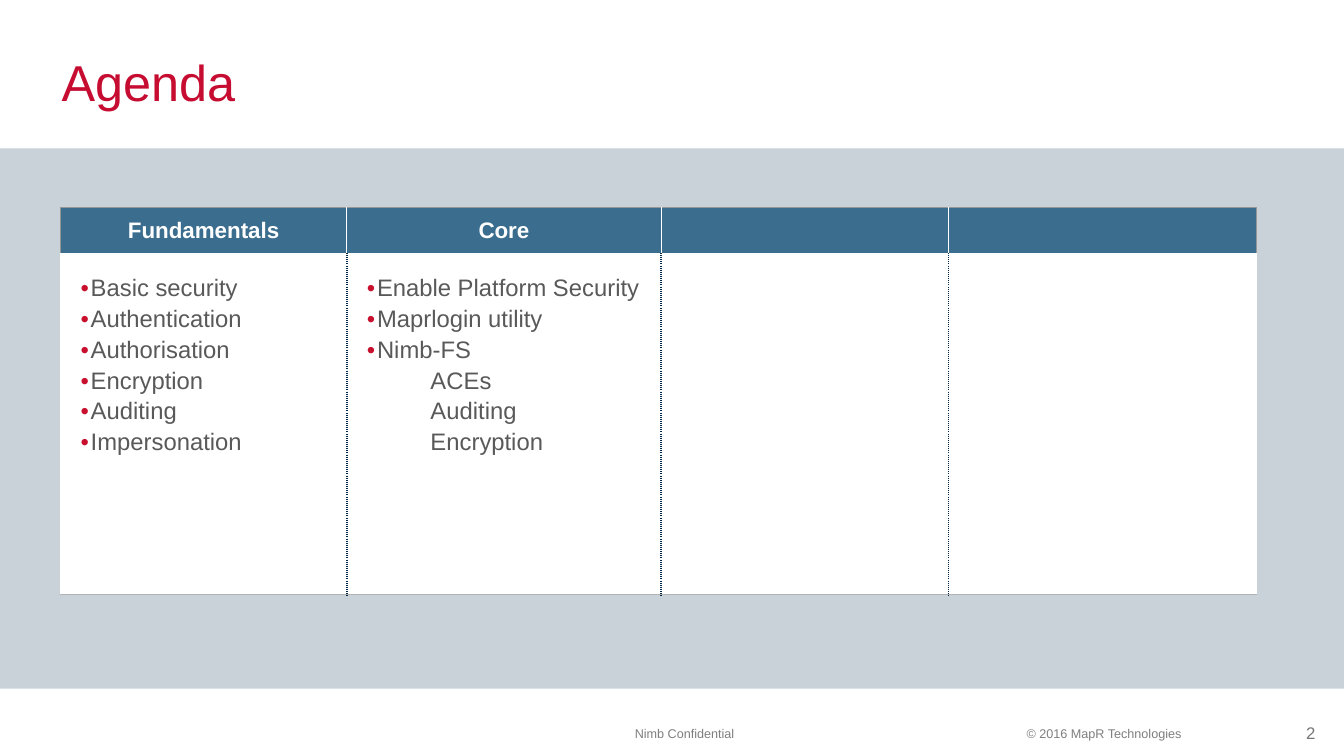
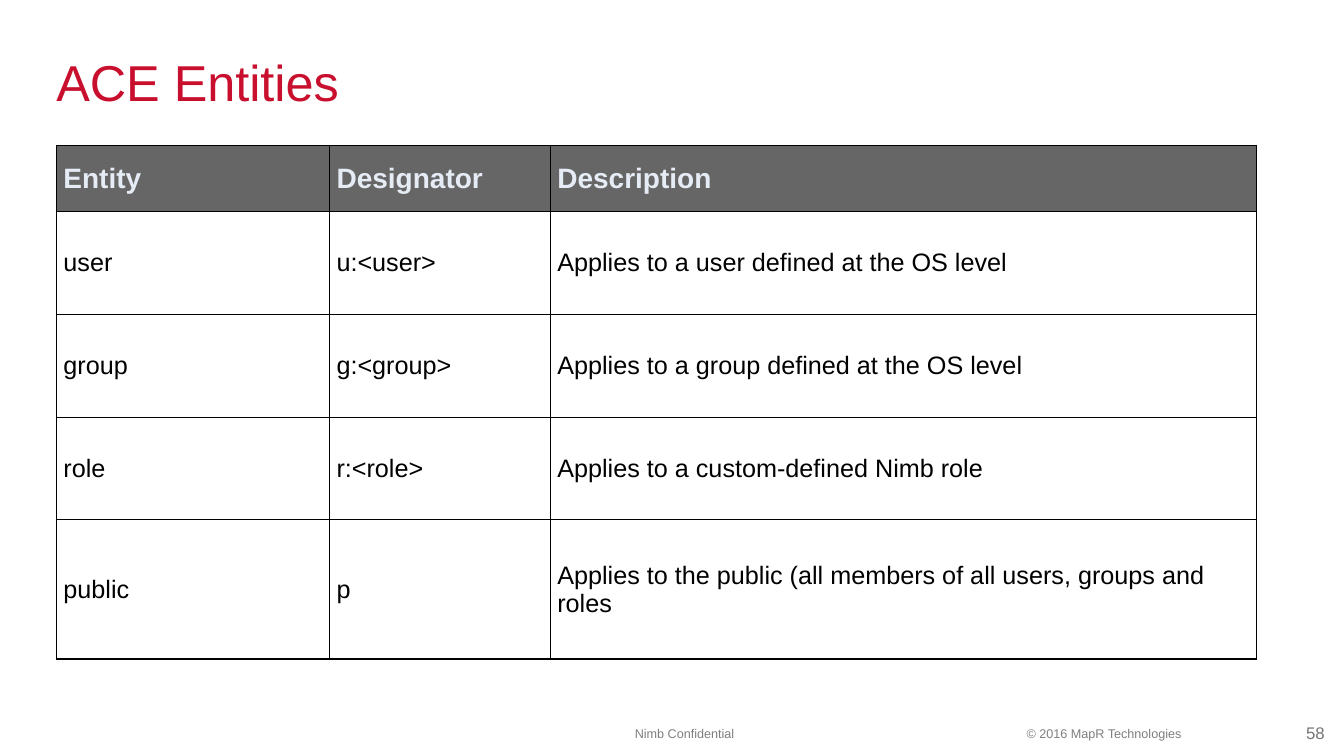
from lxml import etree
from pptx import Presentation
from pptx.dml.color import RGBColor
from pptx.enum.shapes import MSO_SHAPE
from pptx.enum.text import MSO_ANCHOR, MSO_AUTO_SIZE, PP_ALIGN
from pptx.oxml import parse_xml
from pptx.oxml.ns import nsdecls, qn
from pptx.util import Pt

COLORS = {
    "crimson": "C60C30", "red": "C8102E", "navy": "00274C", "blue": "3B6E8E",
    "white": "FFFFFF", "black": "000000", "text": "595959", "header": "666666",
    "pale": "E6ECF5", "edge": "969696", "rule": "B3B3B3",
    "footer": "7F7F7F", "number": "747678",
}
FONT = "Arial"
NO_STYLE = "{2D5ABB26-0587-4C30-8999-92F81FD0307C}"


def style(p, size, color, bold=False):
    """Format all runs of a paragraph."""
    for r in p.runs:
        r.font.name, r.font.size, r.font.bold = FONT, Pt(size), bold
        r.font.color.rgb = RGBColor.from_string(COLORS[color])


def format_cell(cell, fill, margins, borders):
    """Set margins, borders {side: (color, width, dash)} and fill of a cell."""
    (cell.margin_left, cell.margin_top,
     cell.margin_right, cell.margin_bottom) = [Pt(m) for m in margins]
    tcPr = cell._tc.get_or_add_tcPr()
    for side in "LRTB":
        if side in borders:
            color, width, dash = borders[side]
            tcPr.append(parse_xml(
                f'<a:ln{side} {nsdecls("a")} w="{Pt(width)}"><a:solidFill>'
                f'<a:srgbClr val="{COLORS[color]}"/></a:solidFill>'
                f'<a:prstDash val="{dash}"/></a:ln{side}>'))
    if fill:
        cell.fill.solid()
        cell.fill.fore_color.rgb = RGBColor.from_string(COLORS[fill])
    else:
        cell.fill.background()


prs = Presentation()
prs.slide_width, prs.slide_height = Pt(960), Pt(540)

# Slides: title, title color, title left, title inset, page number,
# table left, table top, column widths, row heights
pages = [
    ("Agenda", "crimson", 34.5, 9.5, "2", 43.2, 148.3,
     [204.5, 224.6, 205.2, 220.3], [32.4, 244.1]),
    ("ACE Entities", "red", 33, 7.2, "58", 40.3, 103.7,
     [195.1, 157.7, 504.7], [47.5, 73.4, 73.4, 73.4, 99.4]),
]
tables = []
for title, color, left, inset, number, tx, ty, widths, heights in pages:
    s = prs.slides.add_slide(prs.slide_layouts[5])

    # Title
    sp = s.shapes.title
    sp.left, sp.top, sp.width, sp.height = Pt(left), Pt(21.6), Pt(864), Pt(72.7)
    tf = sp.text_frame
    tf.text = title
    tf.auto_size = MSO_AUTO_SIZE.NONE
    tf.vertical_anchor = MSO_ANCHOR.MIDDLE
    tf.margin_left = tf.margin_right = Pt(inset)
    tf.paragraphs[0].alignment = PP_ALIGN.LEFT
    style(tf.paragraphs[0], 36, color)

    # Footer
    for text, x, y, w, align, size, shade in [
        ("© 2016 MapR Technologies", 658, 518.4, 185.8, PP_ALIGN.RIGHT, 9, "footer"),
        ("Nimb Confidential", 396, 518.4, 185.8, PP_ALIGN.CENTER, 9, "footer"),
        (number, 933, 516.2, 27, PP_ALIGN.LEFT, 12, "number"),
    ]:
        tf = s.shapes.add_textbox(Pt(x), Pt(y), Pt(w), Pt(size * 1.2)).text_frame
        tf.word_wrap = True
        tf.margin_left = tf.margin_top = tf.margin_right = tf.margin_bottom = 0
        tf.text = text
        tf.paragraphs[0].alignment = align
        style(tf.paragraphs[0], size, shade)

    # Band behind the agenda
    if title == "Agenda":
        band = s.shapes.add_shape(MSO_SHAPE.RECTANGLE, 0, Pt(106), Pt(960), Pt(386))
        band.shadow.inherit = False
        band.line.fill.background()
        band.fill.solid()
        band.fill.fore_color.rgb = RGBColor.from_string(COLORS["navy"])
        rgb = band.fill._xPr.find(".//" + qn("a:srgbClr"))
        etree.SubElement(rgb, qn("a:alpha")).set("val", "21000")

    # Empty table grid
    table = s.shapes.add_table(len(heights), len(widths), Pt(tx), Pt(ty),
                               Pt(sum(widths)), Pt(sum(heights))).table
    table.horz_banding = False
    table._tbl.tblPr.find(qn("a:tableStyleId")).text = NO_STYLE
    for column, w in zip(table.columns, widths):
        column.width = Pt(w)
    for row, h in zip(table.rows, heights):
        row.height = Pt(h)
    tables.append(table)

agenda, entities = tables

# Agenda: heading, then (text, level) items for each column
topics = [
    ("Fundamentals", [("Basic security", 0), ("Authentication", 0),
                      ("Authorisation", 0), ("Encryption", 0),
                      ("Auditing", 0), ("Impersonation", 0)]),
    ("Core", [("Enable Platform Security", 0), ("Maprlogin utility", 0),
              ("Nimb-FS", 0), ("ACEs", 1), ("Auditing", 1), ("Encryption", 1)]),
    ("", []),
    ("", []),
]
last = len(topics) - 1
for c, (heading, items) in enumerate(topics):
    head, body = agenda.cell(0, c), agenda.cell(1, c)
    format_cell(head, "blue", (7.2, 3.6, 7.2, 3.6), {
        "L": ("white" if c else "edge", 1, "solid"),
        "R": ("white" if c < last else "edge", 1, "solid"),
        "T": ("edge", 1, "solid")})
    head.vertical_anchor = MSO_ANCHOR.MIDDLE
    head.text_frame.text = heading
    p = head.text_frame.paragraphs[0]
    p.alignment = PP_ALIGN.CENTER
    style(p, 16, "white", True)

    borders = {"B": ("rule", 1, "solid")}
    if c:
        borders["L"] = ("navy", 1.5, "sysDot")
    if c < last:
        borders["R"] = ("navy", 1.5, "sysDot")
    format_cell(body, "white", (14.4, 15.5, 14.4, 3.6), borders)
    tf = body.text_frame
    for i, (text, level) in enumerate(items):
        p = tf.add_paragraph() if i else tf.paragraphs[0]
        p.text, p.level = text, level
        if i:
            p.space_before = Pt(3)
        pPr = p._p.get_or_add_pPr()
        margin, indent = (72, -26.6) if level else (7.2, -7.2)
        pPr.set("marL", str(Pt(margin)))
        pPr.set("indent", str(Pt(indent)))
        if level:
            etree.SubElement(pPr, qn("a:buNone"))
        else:
            bullet_color = etree.SubElement(pPr, qn("a:buClr"))
            etree.SubElement(bullet_color, qn("a:srgbClr")).set("val", COLORS["red"])
            etree.SubElement(pPr, qn("a:buFont")).set("typeface", FONT)
            etree.SubElement(pPr, qn("a:buChar")).set("char", "•")
        style(p, 17, "text")

# ACE entities
rows = [
    ("Entity", "Designator", "Description"),
    ("user", "u:<user>", "Applies to a user defined at the OS level"),
    ("group", "g:<group>", "Applies to a group defined at the OS level"),
    ("role", "r:<role>", "Applies to a custom-defined Nimb role"),
    ("public", "p", "Applies to the public (all members of all users, groups and roles"),
]
grid = {side: ("black", 1, "solid") for side in "LRTB"}
for r, row in enumerate(rows):
    for c, text in enumerate(row):
        cell = entities.cell(r, c)
        format_cell(cell, None if r else "header", [5] * 4, grid)
        cell.vertical_anchor = MSO_ANCHOR.MIDDLE
        cell.text_frame.text = text
        p = cell.text_frame.paragraphs[0]
        if r:
            style(p, 18, "black")
        else:
            style(p, 20, "pale", True)

prs.save("out.pptx")
